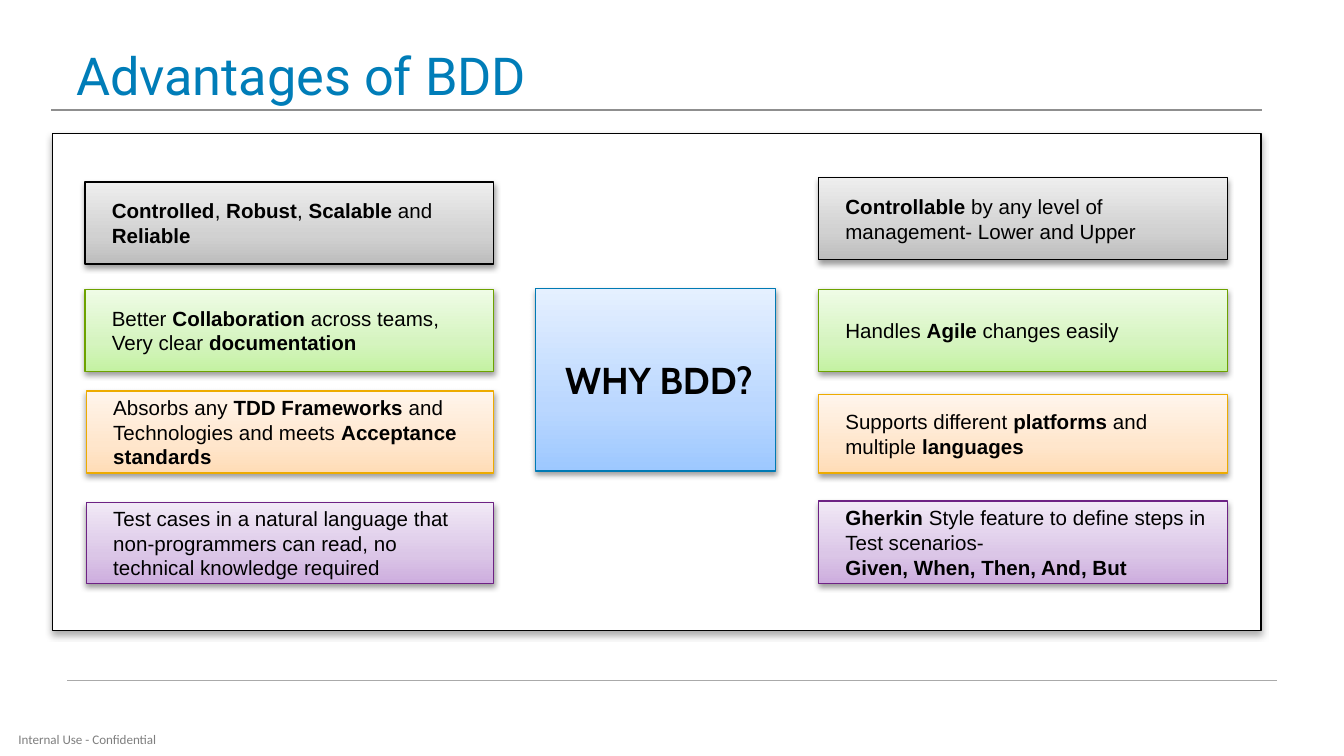
from copy import deepcopy

from lxml import etree
from pptx import Presentation
from pptx.dml.color import RGBColor
from pptx.enum.shapes import MSO_CONNECTOR, MSO_SHAPE
from pptx.enum.text import MSO_ANCHOR, PP_ALIGN
from pptx.oxml.ns import qn
from pptx.util import Pt

RECTANGLE = MSO_SHAPE.RECTANGLE
STRAIGHT = MSO_CONNECTOR.STRAIGHT
MIDDLE = MSO_ANCHOR.MIDDLE
CENTER = PP_ALIGN.CENTER

BLACK = RGBColor(0x00, 0x00, 0x00)
WHITE = RGBColor(0xFF, 0xFF, 0xFF)
TITLE_BLUE = RGBColor(0x00, 0x7D, 0xB8)
FOOTER_GRAY = RGBColor(0x7F, 0x7F, 0x7F)
TITLE_RULE = RGBColor(0x8F, 0x8F, 0x8F)
FOOTER_RULE = RGBColor(0xAA, 0xAA, 0xAA)

# Each theme: outline, then gradient colours from bottom to top.
GRAY = (BLACK, RGBColor(0xBD, 0xBD, 0xBD), RGBColor(0xD1, 0xD1, 0xD1), RGBColor(0xEE, 0xEE, 0xEE))
GREEN = (RGBColor(0x6D, 0xA2, 0x00), RGBColor(0xC4, 0xF2, 0xA2),
         RGBColor(0xD5, 0xF4, 0xBF), RGBColor(0xEF, 0xFC, 0xE6))
ORANGE = (RGBColor(0xED, 0xAB, 0x00), RGBColor(0xFF, 0xDC, 0xB6),
          RGBColor(0xFF, 0xE6, 0xCC), RGBColor(0xFF, 0xF5, 0xEC))
PURPLE = (RGBColor(0x6D, 0x22, 0x84), RGBColor(0xCD, 0xAD, 0xDE),
          RGBColor(0xDB, 0xC6, 0xE7), RGBColor(0xF1, 0xE9, 0xF6))
BLUE = (RGBColor(0x00, 0x7A, 0xB4), RGBColor(0x9D, 0xC8, 0xFF),
        RGBColor(0xBA, 0xD7, 0xFF), RGBColor(0xE5, 0xF0, 0xFF))
GRADIENT_POSITIONS = (0, 0.35, 1)

# Each card: box (left, top, width, height), theme, paragraphs of (text, bold) runs.
LEFT_CARDS = [
    ((45.5, 97.5, 219, 44), GRAY, [[
        ("Controlled", True), (", ", False), ("Robust", True), (", ", False),
        ("Scalable", True), (" and ", False), ("Reliable", True)]]),
    ((45.5, 155, 219, 44), GREEN, [[
        ("Better ", False), ("Collaboration", True),
        (" across teams, Very clear ", False), ("documentation", True)]]),
    ((46.25, 209.5, 218.25, 44), ORANGE, [[
        ("Absorbs any ", False), ("TDD Frameworks", True),
        (" and Technologies and meets ", False), ("Acceptance standards", True)]]),
    ((46.25, 269.25, 218.25, 43.25), PURPLE, [[
        ("Test cases in a natural language that non-programmers can read, "
         "no technical knowledge required", False)]]),
]
RIGHT_CARDS = [
    ((438.5, 95.25, 219, 44), GRAY, [[
        ("Controllable", True), (" by any level of management- Lower and Upper", False)]]),
    ((438.5, 155, 219, 44), GREEN, [[
        ("Handles ", False), ("Agile", True), (" changes easily", False)]]),
    ((438.5, 211.25, 219, 42.25), ORANGE, [[
        ("Supports different ", False), ("platforms", True),
        (" and multiple ", False), ("languages", True)]]),
    ((438.5, 268.5, 219, 44), PURPLE, [
        [("Gherkin", True), (" Style feature to define steps in Test scenarios-", False)],
        [("Given, When, Then, And, But", True)]]),
]


def in_points(box):
    return [Pt(length) for length in box]


def add_span(para, text, size, font, color, bold=False):
    span = para.add_run()
    span.text = text
    span.font.size = Pt(size)
    span.font.name = font
    span.font.bold = bold
    span.font.color.rgb = color


def set_frame(frame, insets):
    frame.word_wrap = True
    frame.vertical_anchor = MIDDLE
    (frame.margin_left, frame.margin_top,
     frame.margin_right, frame.margin_bottom) = in_points(insets)


def add_drop_shadow(shape, opacity, blur, distance):
    shape.shadow.inherit = False
    effects = shape._element.spPr.find(qn("a:effectLst"))
    shadow = etree.SubElement(
        effects, qn("a:outerShdw"), blurRad=str(Pt(blur)), dist=str(Pt(distance)),
        dir="5400000", rotWithShape="0")
    color = etree.SubElement(shadow, qn("a:srgbClr"), val=str(BLACK))
    etree.SubElement(color, qn("a:alpha"), val=str(opacity * 1000))


def fill_gradient(shape, colors):
    shape.fill.gradient()
    shape.fill.gradient_angle = 90
    stop_list = shape._element.spPr.find(".//" + qn("a:gsLst"))
    stop_list.append(deepcopy(stop_list[-1]))
    for stop, position, color in zip(shape.fill.gradient_stops, GRADIENT_POSITIONS, colors):
        stop.position = position
        stop.color.rgb = color


def add_rule(page, left, top, width, color, weight):
    rule = page.shapes.add_connector(STRAIGHT, *in_points((left, top, left + width, top)))
    rule.line.color.rgb = color
    rule.line.width = Pt(weight)
    etree.SubElement(rule._element.spPr, qn("a:effectLst"))


def add_label(page, box, insets, text, size, font, color, align=None):
    frame = page.shapes.add_textbox(*in_points(box)).text_frame
    set_frame(frame, insets)
    para = frame.paragraphs[0]
    para.alignment = align
    add_span(para, text, size, font, color)


def add_panel(page, box):
    panel = page.shapes.add_shape(RECTANGLE, *in_points(box))
    panel.fill.solid()
    panel.fill.fore_color.rgb = WHITE
    panel.line.color.rgb = BLACK
    panel.line.width = Pt(0.75)
    add_drop_shadow(panel, 32, 3.5, 2.2)


def add_card(page, box, theme, paragraphs, size=11, font="Arial", align=PP_ALIGN.LEFT):
    outline, *colors = theme
    card = page.shapes.add_shape(RECTANGLE, *in_points(box))
    fill_gradient(card, colors)
    card.line.color.rgb = outline
    card.line.width = Pt(0.75)
    add_drop_shadow(card, 38, 3.1, 1.6)
    frame = card.text_frame
    set_frame(frame, (14.4, 10.8, 10.8, 10.8))
    for index, spans in enumerate(paragraphs):
        para = frame.add_paragraph() if index else frame.paragraphs[0]
        para.alignment = align
        for text, bold in spans:
            add_span(para, text, size, font, BLACK, bold)


def build_advantages(page):
    add_label(page, (0, 388, 93.6, 16.5), (0, 0, 0, 0),
              "Internal Use - Confidential", 7, "Calibri", FOOTER_GRAY, CENTER)
    add_rule(page, 36, 364.5, 648, FOOTER_RULE, 0.75)
    add_label(page, (33.75, 15, 648.75, 50.5), (7.2, 3.6, 7.2, 3.6),
              "Advantages of BDD", 28, "Roboto", TITLE_BLUE)
    add_rule(page, 27.5, 59, 648.5, TITLE_RULE, 1)
    add_panel(page, (28, 71.5, 647.5, 266.25))
    for box, theme, paragraphs in LEFT_CARDS + RIGHT_CARDS:
        add_card(page, box, theme, paragraphs)
    add_card(page, (287, 154.75, 128.5, 97.75), BLUE, [[("WHY BDD?", True)]],
             20, "Cabin", CENTER)


def main():
    deck = Presentation()
    deck.slide_width, deck.slide_height = Pt(720), Pt(405)
    build_advantages(deck.slides.add_slide(deck.slide_layouts[6]))
    deck.save("out.pptx")


if __name__ == "__main__":
    main()
